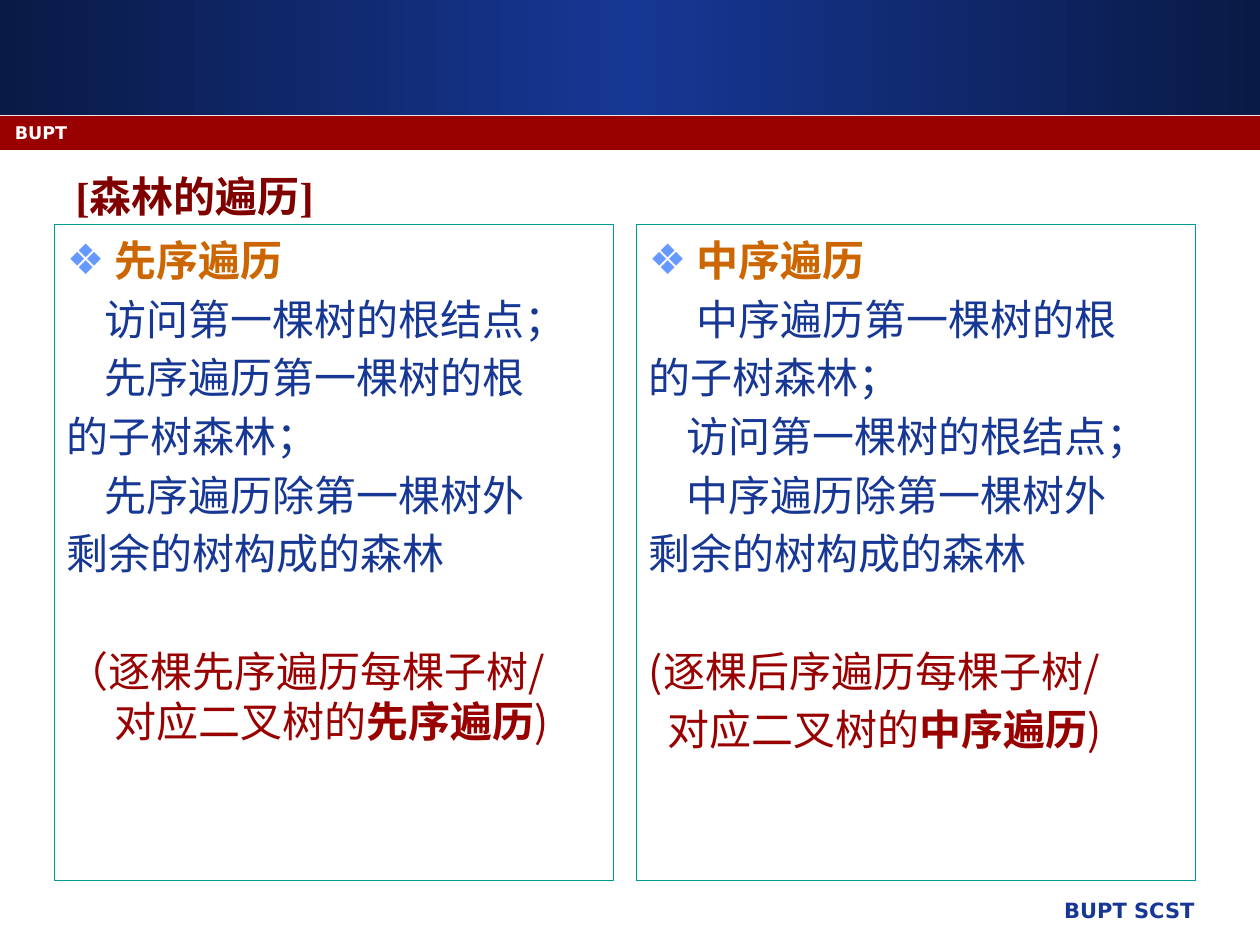
from dataclasses import dataclass
from lxml.etree import SubElement
from pptx import Presentation
from pptx.dml.color import RGBColor
from pptx.enum.shapes import MSO_SHAPE as Shape
from pptx.enum.text import MSO_ANCHOR as Anchor, MSO_AUTO_SIZE as AutoSize, PP_ALIGN as Align
from pptx.oxml.ns import qn
from pptx.util import Inches, Pt


@dataclass(frozen=True)
class Theme:
    navy: str = "0A1A46"
    blue: str = "163794"
    red: str = "990000"
    maroon: str = "800000"
    orange: str = "CC6600"
    teal: str = "009999"
    bullet: str = "6699FF"
    white: str = "FFFFFF"
    serif: str = "Times New Roman"
    sans: str = "DejaVu Sans"
    chinese: str = "Noto Sans CJK SC"
    body: int = 24
    footer: int = 12
    label: int = 10
    line: int = 29
    gap: float = 4.5


THEME = Theme()
HANG, STEP = 0.38, 0.3
TITLE = "[森林的遍历]"
PANELS = [
    {
        "heading": "先序遍历",
        "steps": [
            (STEP, "访问第一棵树的根结点；"),
            (STEP, "先序遍历第一棵树的根"),
            (0, "的子树森林；"),
            (STEP, "先序遍历除第一棵树外"),
            (0, "剩余的树构成的森林"),
        ],
        "note": "（逐棵先序遍历每棵子树/",
        "match": ("对应二叉树的", "先序遍历", ")"),
        "match_indent": HANG,
        "match_gap": 0,
    },
    {
        "heading": "中序遍历",
        "steps": [
            (HANG, "中序遍历第一棵树的根"),
            (0, "的子树森林；"),
            (STEP, "访问第一棵树的根结点；"),
            (STEP, "中序遍历除第一棵树外"),
            (0, "剩余的树构成的森林"),
        ],
        "note": "(逐棵后序遍历每棵子树/",
        "match": ("对应二叉树的", "中序遍历", ")"),
        "match_indent": 0.15,
        "match_gap": THEME.gap,
    },
]
PANEL_LEFT, PANEL_TOP, PANEL_WIDTH, PANEL_HEIGHT, PANEL_PITCH = 0.43, 1.78, 4.44, 5.21, 4.62


def rgb(value):
    return RGBColor.from_string(value)


def place(shape, left, top, width, height):
    shape.left, shape.top = Inches(left), Inches(top)
    shape.width, shape.height = Inches(width), Inches(height)


def write(frame, *texts, size=THEME.body, font=THEME.serif, color=THEME.blue, bold=(),
          indent=0, gap=None, line=THEME.line, align=Align.LEFT, bullet=None):
    paragraph = frame.paragraphs[0] if not frame.text else frame.add_paragraph()
    properties = paragraph._p.get_or_add_pPr()
    properties.set("marL", str(Inches(indent)))
    properties.set("indent", str(-Inches(indent) if bullet else 0))
    paragraph.alignment = align
    paragraph.space_before = Pt(gap or 0)
    if line:
        paragraph.line_spacing = Pt(line)
    if bullet:
        bullet_color = SubElement(properties, qn("a:buClr"))
        SubElement(bullet_color, qn("a:srgbClr"), val=THEME.bullet)
        SubElement(properties, qn("a:buChar"), char=bullet)
    else:
        SubElement(properties, qn("a:buNone"))
    for index, text in enumerate(texts):
        run = paragraph.add_run()
        run.text = text
        run.font.size, run.font.bold = Pt(size), index in bold
        run.font.color.rgb = rgb(color)
        run.font.name = font
        SubElement(run.font._element, qn("a:ea"), typeface=THEME.chinese)


def setup_frame(shape, top_margin=0.05):
    frame = shape.text_frame
    frame.word_wrap, frame.auto_size = True, AutoSize.NONE
    frame.vertical_anchor = Anchor.TOP
    frame.margin_left = frame.margin_right = Inches(0.1)
    frame.margin_top = Inches(top_margin)
    return frame


def add_band(slide, top, height):
    band = slide.shapes.add_shape(Shape.RECTANGLE, 0, Inches(top), Inches(10), Inches(height))
    band.shadow.inherit = False
    band.line.fill.background()
    return band


def add_label(slide, text, box, **style):
    label = slide.shapes.add_textbox(0, 0, 0, 0)
    place(label, *box)
    write(setup_frame(label), text, font=THEME.sans, bold=(0,), line=None, **style)


def add_header(slide):
    band = add_band(slide, 0, 0.91)
    band.fill.gradient()
    band.fill.gradient_angle = 0
    stops = band.fill._fill._gradFill.find(qn("a:gsLst"))
    for stop in list(stops):
        stops.remove(stop)
    for position, color in ((0, THEME.navy), (50, THEME.blue), (100, THEME.navy)):
        stop = SubElement(stops, qn("a:gs"), pos=str(position * 1000))
        SubElement(stop, qn("a:srgbClr"), val=color)
    stripe = add_band(slide, 0.92, 0.27)
    stripe.fill.solid()
    stripe.fill.fore_color.rgb = rgb(THEME.red)


def fill_panel(shape, column, panel):
    place(shape, PANEL_LEFT + column * PANEL_PITCH, PANEL_TOP, PANEL_WIDTH, PANEL_HEIGHT)
    shape.line.color.rgb = rgb(THEME.teal)
    shape.line.width = Pt(0.75)
    frame = setup_frame(shape, 0.08)
    write(frame, panel["heading"], color=THEME.orange, bold=(0,), indent=HANG, bullet="❖")
    for indent, text in panel["steps"]:
        write(frame, text, indent=indent, gap=THEME.gap)
    note_style = {"font": THEME.chinese, "color": THEME.red}
    write(frame, panel["note"], gap=THEME.line + 2 * THEME.gap, **note_style)
    write(frame, *panel["match"], bold=(1,), indent=panel["match_indent"],
          gap=panel["match_gap"], **note_style)


def main():
    presentation = Presentation()
    presentation.slide_width, presentation.slide_height = Inches(10), Inches(7.5)
    slide = presentation.slides.add_slide(presentation.slide_layouts[3])
    title, *bodies = slide.placeholders
    add_header(slide)
    add_label(slide, "BUPT SCST", (4.21, 7.07, 5.37, 0.35),
              size=THEME.footer, align=Align.RIGHT)
    add_label(slide, "BUPT", (0.02, 0.92, 9.25, 0.25), size=THEME.label, color=THEME.white)
    place(title, 0.5, 1.26, 9, 0.5)
    write(setup_frame(title, 0.09), TITLE, color=THEME.maroon, bold=(0,))
    for column, (body, panel) in enumerate(zip(bodies, PANELS)):
        fill_panel(body, column, panel)
    presentation.save("out.pptx")


if __name__ == "__main__":
    main()
